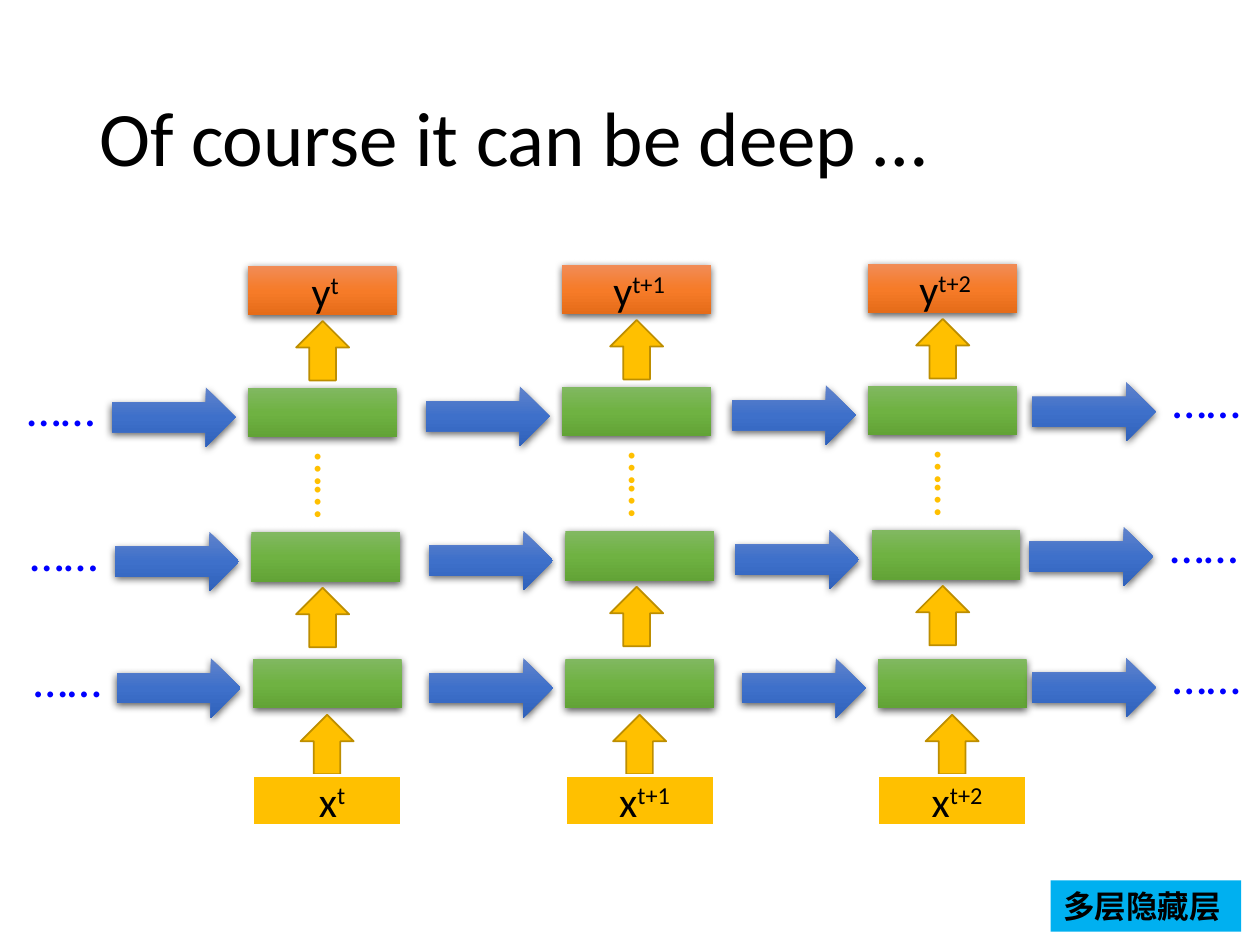
from pptx import Presentation
from pptx.dml.color import RGBColor
from pptx.enum.shapes import MSO_SHAPE as Preset
from pptx.enum.text import MSO_ANCHOR as Anchor, MSO_AUTO_SIZE as AutoSize, PP_ALIGN as Align
from pptx.oxml import parse_xml
from pptx.oxml.ns import nsdecls, qn
from pptx.util import Cm, Pt

BLACK = RGBColor(0x00, 0x00, 0x00)
WHITE = RGBColor(0xFF, 0xFF, 0xFF)
GOLD = RGBColor(0xFF, 0xC0, 0x00)
DARK_GOLD = RGBColor(0xBD, 0x8E, 0x00)
DOT_BLUE = RGBColor(0x00, 0x00, 0xFF)
SKY = RGBColor(0x00, 0xB0, 0xF0)
GREENS = (RGBColor(0x81, 0xB8, 0x61), RGBColor(0x6F, 0xB2, 0x42), RGBColor(0x62, 0xA3, 0x36))
BLUES = (RGBColor(0x61, 0x83, 0xCB), RGBColor(0x3E, 0x70, 0xCA), RGBColor(0x30, 0x62, 0xBB))
ORANGES = (RGBColor(0xF1, 0x8C, 0x57), RGBColor(0xF6, 0x7B, 0x28), RGBColor(0xE5, 0x6C, 0x19))

BLOCK_SIZE = (3.0, 1.0)
FORWARD_SIZE = (2.5, 1.2)
UP_SIZE = (1.07, 1.2)


def write(frame, text, size=24, color=BLACK, bold=False, align=Align.CENTER,
          anchor=Anchor.TOP, superscript="", spacing=None, grow=True):
    """Write one formatted paragraph, with an optional superscript."""
    frame.word_wrap = True
    frame.auto_size = AutoSize.SHAPE_TO_FIT_TEXT if grow else AutoSize.NONE
    frame.vertical_anchor = anchor
    paragraph = frame.paragraphs[0]
    paragraph.alignment = align
    if spacing:
        paragraph.line_spacing = spacing
    for part in filter(None, (text, superscript)):
        run = paragraph.add_run()
        run.text = part
        run.font.name = "Calibri"
        run.font.size = Pt(size)
        run.font.bold = bold
        run.font.color.rgb = color
    if superscript:
        run._r.get_or_add_rPr().set("baseline", "30000")


def add_label(slide, left, top, width, height, text, rotation=0, **text_format):
    """Add a text box holding one paragraph."""
    label = slide.shapes.add_textbox(Cm(left), Cm(top), Cm(width), Cm(height))
    label.rotation = rotation
    write(label.text_frame, text, **text_format)


def add_flat(slide, preset, left, top, size, color, outline=None, weight=1):
    """Add a plain filled shape, outlined on request."""
    flat = slide.shapes.add_shape(preset, Cm(left), Cm(top), *map(Cm, size))
    flat.shadow.inherit = False
    flat.fill.solid()
    flat.fill.fore_color.rgb = color
    if outline is None:
        flat.line.fill.background()
    else:
        flat.line.color.rgb = outline
        flat.line.width = Pt(weight)
    return flat


def add_raised(slide, preset, left, top, size, colors):
    """Add a shape with a vertical three-stop gradient and a soft shadow."""
    raised = add_flat(slide, preset, left, top, size, colors[1])
    properties = raised._element.spPr
    stops = "".join(
        f'<a:gs pos="{place * 50000}"><a:srgbClr val="{color}"/></a:gs>'
        for place, color in enumerate(colors)
    )
    gradient = parse_xml(
        f'<a:gradFill {nsdecls("a")} rotWithShape="1"><a:gsLst>{stops}</a:gsLst>'
        '<a:lin ang="5400000" scaled="0"/></a:gradFill>'
    )
    properties.replace(properties.find(qn("a:solidFill")), gradient)
    shadow = parse_xml(
        f'<a:outerShdw {nsdecls("a")} blurRad="57150" dist="19050" dir="5400000" '
        'algn="ctr" rotWithShape="0"><a:srgbClr val="000000">'
        '<a:alpha val="63000"/></a:srgbClr></a:outerShdw>'
    )
    properties.find(qn("a:effectLst")).append(shadow)


def add_up_arrow(slide, left, top):
    """Add the gold arrow leading to the block above."""
    add_flat(slide, Preset.UP_ARROW, left, top, UP_SIZE, GOLD, outline=DARK_GOLD)


def add_forward_arrow(slide, left, top):
    """Add the blue arrow leading to the next time step."""
    add_raised(slide, Preset.RIGHT_ARROW, left, top, FORWARD_SIZE, BLUES)


def add_dots(slide, left, top, color=DOT_BLUE, rotation=0):
    """Add the dots that stand for omitted parts."""
    add_label(slide, left, top, 2.46, 1.45, "……", size=28, color=color, rotation=rotation)


def add_hidden_layer(slide, left, top):
    """Add a hidden block and the arrow entering it."""
    add_raised(slide, Preset.RECTANGLE, left, top, BLOCK_SIZE, GREENS)
    add_forward_arrow(slide, left - 2.75, top - 0.01)


def add_output_column(slide, left, top, step):
    """Add the output and the two upper hidden layers of a time step."""
    add_raised(slide, Preset.RECTANGLE, left, top, BLOCK_SIZE, ORANGES)
    add_label(slide, left + 0.3, top - 0.14, 2.51, 1.28, "y", superscript=step)
    add_up_arrow(slide, left + 0.97, top + 1.11)
    add_hidden_layer(slide, left, top + 2.46)
    add_dots(slide, left + 0.51, top + 3.71, color=GOLD, rotation=90)
    add_hidden_layer(slide, left + 0.07, top + 5.37)
    add_up_arrow(slide, left + 0.97, top + 6.49)


def add_input_column(slide, left, top, step):
    """Add the lowest hidden layer and the input of a time step."""
    add_hidden_layer(slide, left, top)
    add_up_arrow(slide, left + 0.96, top + 1.13)
    add_flat(slide, Preset.RECTANGLE, left, top + 2.35, BLOCK_SIZE, GOLD, outline=WHITE, weight=1.5)
    add_label(slide, left + 0.34, top + 2.22, 2.51, 1.28, "x", superscript=step)


def add_row_ends(slide, first_dots, last_arrow):
    """Add the dots before a layer and the arrow and dots after it."""
    add_dots(slide, *first_dots)
    left, top = last_arrow
    add_forward_arrow(slide, left, top)
    add_dots(slide, left + 2.29, top - 0.38)


def add_caption(slide, left, top, width, height):
    """Add the highlighted caption."""
    caption = add_flat(slide, Preset.RECTANGLE, left, top, (width, height), SKY)
    write(caption.text_frame, "多层隐藏层", size=18, bold=True, align=Align.LEFT)


def main():
    """Build and save the slide."""
    deck = Presentation()
    deck.slide_width, deck.slide_height = Cm(25.4), Cm(19.05)
    slide = deck.slides.add_slide(deck.slide_layouts[6])

    add_label(slide, 1.75, 1.02, 21.9, 3.68, "Of course it can be deep …", size=44,
              align=Align.LEFT, anchor=Anchor.MIDDLE, spacing=0.9, grow=False)
    output_lefts = (5.0, 11.33, 17.5)
    for index, (step, output_left) in enumerate(zip(("t", "t+1", "t+2"), output_lefts)):
        add_output_column(slide, output_left, 5.36 - 0.02 * index, step)
        add_input_column(slide, 5.1 + 6.3 * index, 13.28, step)
    for first_dots, last_arrow in (
        ((0, 7.49), (20.8, 7.7)),
        ((0.06, 10.41), (20.75, 10.62)),
        ((0.13, 12.95), (20.8, 13.26)),
    ):
        add_row_ends(slide, first_dots, last_arrow)
    add_caption(slide, 21.18, 17.75, 3.84, 1.03)

    deck.save("out.pptx")


if __name__ == "__main__":
    main()
